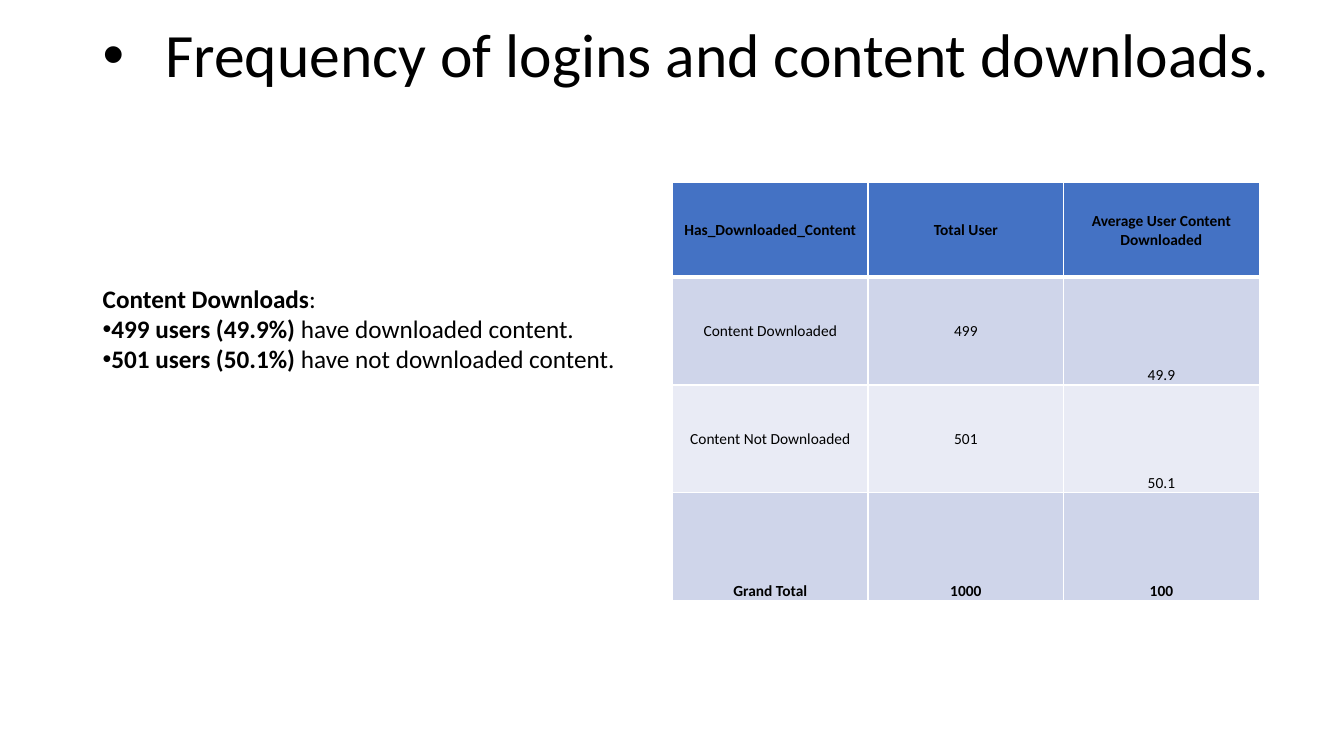
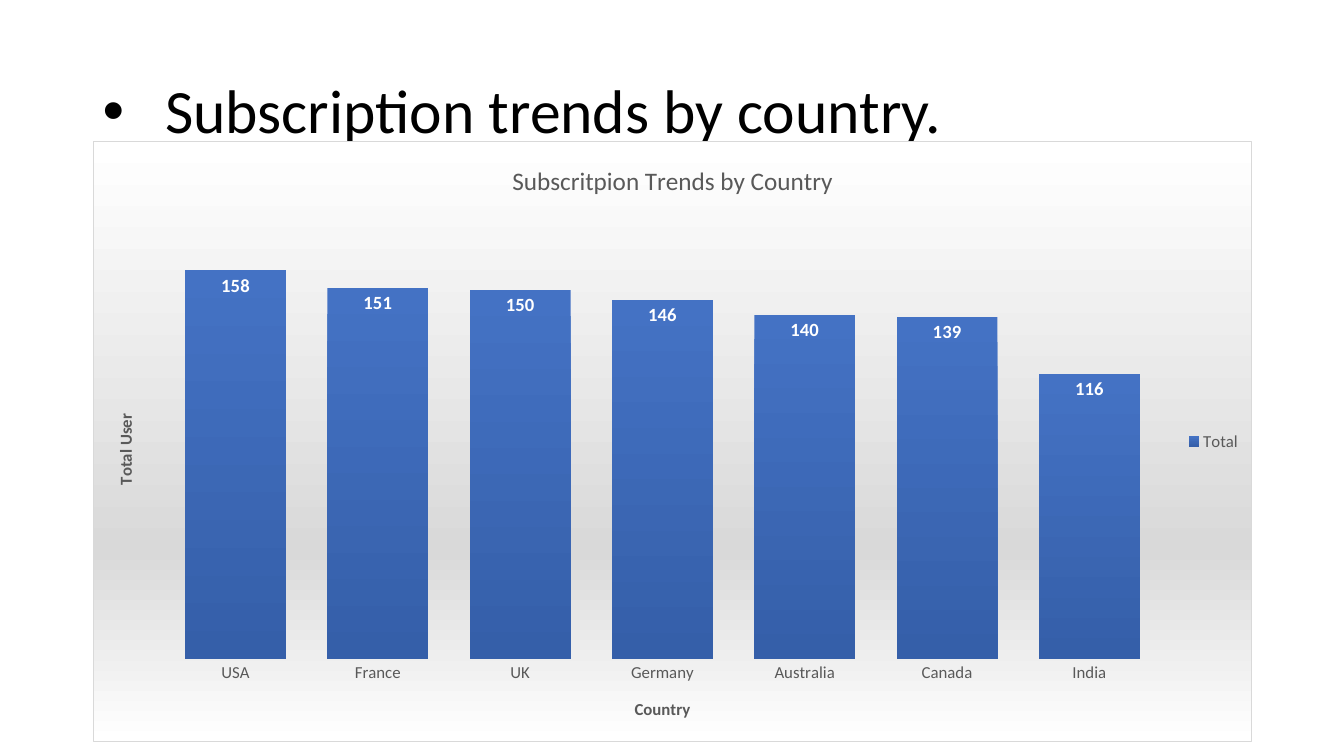
import pptx
import pptx.chart.data
import pptx.dml.color
import pptx.enum.chart
import pptx.enum.text
import pptx.oxml
import pptx.oxml.ns
import pptx.util

FONT = "Calibri"
BLACK, WHITE, GREY, RULE = "000000", "FFFFFF", "595959", "D9D9D9"
BLUE, DARK_BLUE = "4472C4", "355FA9"
BANDS = ["CFD5EA", "E9EBF5"]
BULLET_INDENT = 62

LOGIN_TITLE = ("Frequency of logins and content downloads.", (92, 0, 1188, 114))
COUNTRY_TITLE = ("Subscription trends by country.", (92, 40, 1150, 145))

SUMMARY_BOX = (92, 276, 538, 101)
SUMMARY = [
    (False, "Content Downloads", ":"),
    (True, "499 users (49.9%)", " have downloaded content."),
    (True, "501 users (50.1%)", " have not downloaded content."),
]

TABLE_BOX = (667, 181, 582, 415)
HEADER_HEIGHT = 94
TABLE_ROWS = [
    ("Has_Downloaded_Content", "Total User", "Average User Content Downloaded"),
    ("Content Downloaded", "499", "49.9"),
    ("Content Not Downloaded", "501", "50.1"),
    ("Grand Total", "1000", "100"),
]

CHART_BOX = (92, 140, 1150, 596)
CHART_TITLE = "Subscritpion Trends by Country"
CATEGORY_TITLE, VALUE_TITLE = "Country", "Total User"
SERIES_NAME = "Total"
USERS = {"USA": 158, "France": 151, "UK": 150, "Germany": 146,
         "Australia": 140, "Canada": 139, "India": 116}
BACKGROUND_STOPS = [(0, WHITE), (68, RULE), (100, WHITE)]
COLUMN_STOPS = [(0, BLUE), (100, DARK_BLUE)]


def px(length):
    return pptx.util.Emu(length * 9144)


def place(box):
    return [px(length) for length in box]


def colour(value):
    return pptx.dml.color.RGBColor.from_string(value)


def xml(text, prefixes="a"):
    head, tail = text.split(">", 1)
    closing = "/" if head.endswith("/") else ""
    names = pptx.oxml.ns.nsdecls(*prefixes)
    return pptx.oxml.parse_xml(f"{head.rstrip('/')} {names}{closing}>{tail}")


def style(font, size, shade=BLACK, bold=False):
    font.name, font.size, font.bold = FONT, pptx.util.Pt(size), bold
    font.color.rgb = colour(shade)


def add_bullet(para, indent=0):
    properties = para._p.get_or_add_pPr()
    if indent:
        properties.set("marL", str(px(indent)))
        properties.set("indent", str(px(-indent)))
    properties.append(xml('<a:buFont typeface="Arial"/>'))
    properties.append(xml('<a:buChar char="•"/>'))


def gradient(stops):
    marks = "".join(f'<a:gs pos="{position * 1000}"><a:srgbClr val="{shade}"/></a:gs>'
                    for position, shade in stops)
    return xml(f'<a:gradFill><a:gsLst>{marks}</a:gsLst>'
               '<a:lin ang="5400000" scaled="0"/></a:gradFill>')


def add_page(deck, title):
    text, box = title
    page = deck.slides.add_slide(deck.slide_layouts[6])
    frame = page.shapes.add_textbox(*place(box)).text_frame
    frame.word_wrap = True
    frame.vertical_anchor = pptx.enum.text.MSO_ANCHOR.MIDDLE
    para = frame.paragraphs[0]
    para.text = text
    add_bullet(para, BULLET_INDENT)
    para.line_spacing = 0.9
    style(para.font, 44)
    return page


def add_summary(page):
    frame = page.shapes.add_textbox(*place(SUMMARY_BOX)).text_frame
    frame.word_wrap = True
    frame.auto_size = pptx.enum.text.MSO_AUTO_SIZE.SHAPE_TO_FIT_TEXT
    for index, (bulleted, *parts) in enumerate(SUMMARY):
        para = frame.add_paragraph() if index else frame.paragraphs[0]
        if bulleted:
            add_bullet(para)
        style(para.font, 18)
        for part, bold in zip(parts, (True, False)):
            span = para.add_run()
            span.text, span.font.bold = part, bold


def add_borders(cell, row):
    widths = {"L": 1, "R": 1, "T": 3 if row == 1 else 1, "B": 3 if row == 0 else 1}
    properties = cell._tc.get_or_add_tcPr()
    for index, (side, width) in enumerate(widths.items()):
        properties.insert(index, xml(
            f'<a:ln{side} w="{pptx.util.Pt(width)}"><a:solidFill>'
            f'<a:srgbClr val="{WHITE}"/></a:solidFill></a:ln{side}>'))


def add_download_table(page):
    anchors = pptx.enum.text.MSO_ANCHOR
    last_row, last_column = len(TABLE_ROWS) - 1, len(TABLE_ROWS[0]) - 1
    table = page.shapes.add_table(last_row + 1, last_column + 1, *place(TABLE_BOX)).table
    body_height = (TABLE_BOX[3] - HEADER_HEIGHT) // last_row
    for row, texts in enumerate(TABLE_ROWS):
        table.rows[row].height = px(body_height if row else HEADER_HEIGHT)
        for column, text in enumerate(texts):
            cell = table.cell(row, column)
            cell.margin_left = cell.margin_right = cell.margin_top = px(1)
            cell.margin_bottom = 0
            low = row == last_row or (row and column == last_column)
            cell.vertical_anchor = anchors.BOTTOM if low else anchors.MIDDLE
            cell.fill.solid()
            cell.fill.fore_color.rgb = colour(BANDS[(row - 1) % 2] if row else BLUE)
            add_borders(cell, row)
            para = cell.text_frame.paragraphs[0]
            para.text = text
            para.alignment = pptx.enum.text.PP_ALIGN.CENTER
            style(para.font, 11, bold=row in (0, last_row))


def set_title(owner, text, size, bold):
    para = owner.text_frame.paragraphs[0]
    para.text = text
    style(para.font, size, GREY, bold)


def add_country_chart(page):
    kinds = pptx.enum.chart
    data = pptx.chart.data.CategoryChartData()
    data.categories = list(USERS)
    data.add_series(SERIES_NAME, list(USERS.values()))
    chart = page.shapes.add_chart(
        kinds.XL_CHART_TYPE.COLUMN_CLUSTERED, *place(CHART_BOX), data).chart
    style(chart.font, 10)
    set_title(chart.chart_title, CHART_TITLE, 18, False)
    chart.has_legend = True
    chart.legend.position = kinds.XL_LEGEND_POSITION.RIGHT
    chart.legend.include_in_layout = False
    style(chart.legend.font, 12, GREY)

    categories, values = chart.category_axis, chart.value_axis
    set_title(categories.axis_title, CATEGORY_TITLE, 12, True)
    set_title(values.axis_title, VALUE_TITLE, 12, True)
    categories.major_tick_mark = kinds.XL_TICK_MARK.NONE
    categories.format.line.fill.background()
    style(categories.tick_labels.font, 12, GREY)
    values.has_major_gridlines = False
    values.minimum_scale, values.maximum_scale = 0, 180
    values.visible = False

    plot = chart.plots[0]
    plot.gap_width, plot.vary_by_categories = 41, False
    series = plot.series[0]
    series._element.get_or_add_spPr().append(gradient(COLUMN_STOPS))
    labels = series.data_labels
    labels.show_value = True
    labels.position = kinds.XL_LABEL_POSITION.INSIDE_END
    style(labels.font, 13.3, WHITE, True)

    area = xml(f'<c:spPr><a:ln w="{pptx.util.Pt(0.75)}"><a:solidFill>'
               f'<a:srgbClr val="{RULE}"/></a:solidFill></a:ln></c:spPr>', "ca")
    area.insert(0, gradient(BACKGROUND_STOPS))
    chart.element.find(pptx.oxml.ns.qn("c:chart")).addnext(area)


def main():
    deck = pptx.Presentation()
    deck.slide_width, deck.slide_height = px(1333), px(750)
    login_page = add_page(deck, LOGIN_TITLE)
    add_download_table(login_page)
    add_summary(login_page)
    add_country_chart(add_page(deck, COUNTRY_TITLE))
    deck.save("out.pptx")


if __name__ == "__main__":
    main()
